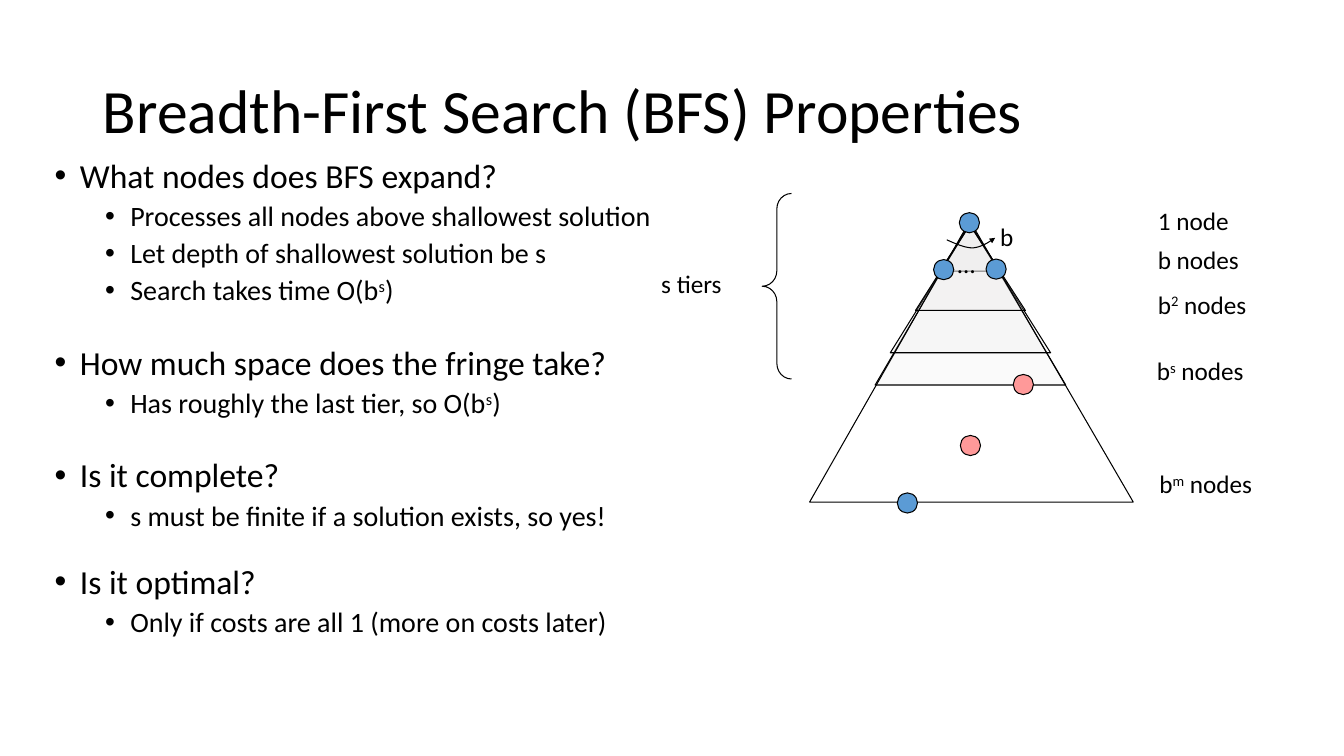
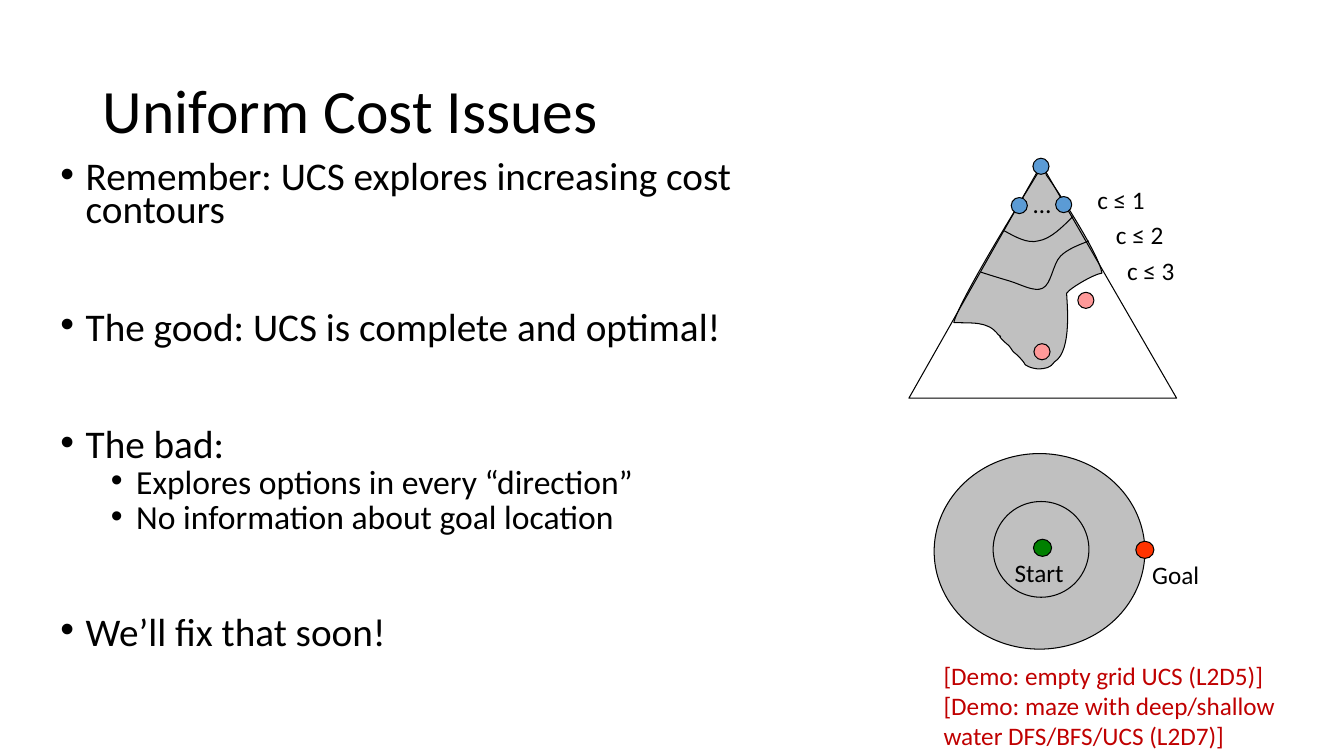
from dataclasses import dataclass

from lxml.etree import SubElement
from pptx import Presentation
from pptx.dml.color import RGBColor
from pptx.enum.shapes import MSO_SHAPE
from pptx.enum.text import MSO_ANCHOR, MSO_AUTO_SIZE, PP_ALIGN
from pptx.oxml.ns import qn
from pptx.util import Inches, Pt

# Every length counts cells of a grid, 0.1 inch square
CELL = Inches(0.1)

Point = tuple[float, float]


@dataclass(frozen=True)
class Theme:
    font: str = "Calibri"
    ink: str = "000000"
    blue: str = "5B9BD5"
    pink: str = "FF9999"
    green: str = "008000"
    red: str = "FF3300"
    gray: str = "C0C0C0"
    pale: str = "E7E6E6"
    demo: str = "C00000"
    title: int = 44
    label: int = 18
    line: float = 0.75


THEME = Theme()


@dataclass(frozen=True)
class Item:
    text: str
    level: int = 0
    gap: float = 10  # points above


@dataclass(frozen=True)
class Oval:
    x: float  # centre
    y: float
    wide: float
    high: float
    fill: str | None = None


@dataclass(frozen=True)
class Label:
    x: float
    y: float
    wide: float
    text: str
    high: float = 4
    color: str = THEME.ink


@dataclass(frozen=True)
class Cone:
    left: float
    right: float
    tip: Point
    base: float


@dataclass(frozen=True)
class Body:
    box: tuple[float, float, float, float]
    sizes: tuple[int, int]  # one for each level
    pitch: float
    items: list[Item]


def cells(*counts: float) -> list[int]:
    return [round(count * CELL) for count in counts]


def apply(target, values: dict) -> None:
    for name, value in values.items():
        setattr(target, name, value)


# Text
def write(para, text: str, size: int, color: str = THEME.ink) -> None:
    """Add text; the parts between ^ marks are raised."""
    for index, part in enumerate(text.split("^")):
        run = para.add_run()
        run.text = part
        apply(run.font, {"name": THEME.font, "size": Pt(size)})
        run.font.color.rgb = RGBColor.from_string(color)
        if index % 2:
            run._r.get_or_add_rPr().set("baseline", "30000")


def place(shape, box: tuple[float, float, float, float]) -> None:
    apply(shape, dict(zip(("left", "top", "width", "height"), cells(*box))))


def add_label(slide, label: Label) -> None:
    box = slide.shapes.add_textbox(*cells(label.x, label.y, label.wide, label.high))
    frame = box.text_frame
    frame.word_wrap = True
    for index, text in enumerate(label.text.split("\n")):
        para = frame.add_paragraph() if index else frame.paragraphs[0]
        write(para, text, THEME.label, label.color)


def add_bullet(para, level: int) -> None:
    props = para._p.get_or_add_pPr()
    props.set("marL", str(Inches(0.25 + 0.5 * level)))
    props.set("indent", str(Inches(-0.25)))
    SubElement(props, qn("a:buFont")).set("typeface", "Arial")
    SubElement(props, qn("a:buChar")).set("char", "•")


def add_page(deck, title: str, body: Body):
    slide = deck.slides.add_slide(deck.slide_layouts[1])
    head, text = slide.placeholders
    place(head, (9.2, 4, 115, 14.5))
    frame = head.text_frame
    apply(frame, {"vertical_anchor": MSO_ANCHOR.MIDDLE, "auto_size": MSO_AUTO_SIZE.NONE})
    apply(frame.paragraphs[0], {"alignment": PP_ALIGN.LEFT, "line_spacing": 0.9})
    write(frame.paragraphs[0], title, THEME.title)

    place(text, body.box)
    frame = text.text_frame
    frame.auto_size = MSO_AUTO_SIZE.NONE
    for index, item in enumerate(body.items):
        para = frame.add_paragraph() if index else frame.paragraphs[0]
        apply(para, {"level": item.level, "line_spacing": body.pitch,
                     "space_before": Pt(item.gap)})
        add_bullet(para, item.level)
        write(para, item.text, body.sizes[item.level])
    return slide


# Shapes
def paint(shape, fill: str | None = None, alpha: int = 100) -> None:
    shape.shadow.inherit = False
    shape.line.width = Pt(THEME.line)
    shape.line.color.rgb = RGBColor.from_string(THEME.ink)
    if fill is None:
        shape.fill.background()
        return
    shape.fill.solid()
    shape.fill.fore_color.rgb = RGBColor.from_string(fill)
    if alpha < 100:
        color = shape.element.spPr.find(f"{qn('a:solidFill')}/{qn('a:srgbClr')}")
        SubElement(color, qn("a:alpha")).set("val", str(alpha * 1000))


def add_oval(slide, oval: Oval) -> None:
    box = cells(oval.x - oval.wide / 2, oval.y - oval.high / 2, oval.wide, oval.high)
    paint(slide.shapes.add_shape(MSO_SHAPE.OVAL, *box), oval.fill)


def add_dots(slide, size: float, color: str, spots: list[Point]) -> None:
    for x, y in spots:
        add_oval(slide, Oval(x, y, size, size, color))


def add_path(slide, points: list[Point], close: bool = False):
    first, *rest = [cells(*point) for point in points]
    pen = slide.shapes.build_freeform(*first)
    pen.add_line_segments(rest, close=close)
    return pen.convert_to_shape()


def add_cone(slide, cone: Cone, fill: str | None = None, alpha: int = 100) -> None:
    points = [cone.tip, (cone.left, cone.base), (cone.right, cone.base)]
    paint(add_path(slide, points, close=True), fill, alpha)


def add_curve(slide, knots: list[Point], fill: str | None = None):
    """Draw a start and triples of Bézier knots; a filled curve is closed."""
    shape = add_path(slide, knots, close=fill is not None)
    trace = next(shape.element.iter(qn("a:path")))
    lines = trace.findall(qn("a:lnTo"))
    for index in range(0, len(lines), 3):
        arc = SubElement(trace, qn("a:cubicBezTo"))
        lines[index].addprevious(arc)
        for line in lines[index:index + 3]:
            arc.append(line[0])
            trace.remove(line)
    paint(shape, fill)
    return shape


# Slide 1
def draw_breadth(deck) -> None:
    slide = add_page(deck, "Breadth-First Search (BFS) Properties", Body(
        (4.42, 15.28, 62.2, 51.7), (24, 20), 0.9, [
            Item("What nodes does BFS expand?"),
            Item("Processes all nodes above shallowest solution", 1, 5),
            Item("Let depth of shallowest solution be s", 1, 5),
            Item("Search takes time O(b^s^)", 1, 5),
            Item("How much space does the fringe take?", gap=28),
            Item("Has roughly the last tier, so O(b^s^)", 1, 5),
            Item("Is it complete?", gap=27.8),
            Item("s must be finite if a solution exists, so yes!", 1, 5),
            Item("Is it optimal?", gap=23.6),
            Item("Only if costs are all 1 (more on costs later)", 1, 5),
        ]))
    # Tiers, then the whole tree
    for left, right, top, base in ((93.2, 99.2, 22.3, 26.9), (86.8, 105.7, 22.1, 38.2),
                                   (88.3, 104.2, 22.3, 35), (90.8, 101.7, 22.3, 30.8)):
        add_cone(slide, Cone(left, right, (96.2, top), base), THEME.pale, 20)
    add_cone(slide, Cone(80.3, 112.4, (96.2, 21.9), 49.8))
    add_dots(slide, 2, THEME.blue, [(96.15, 22.1), (93.6, 26.75), (98.8, 26.7), (90, 49.9)])
    add_dots(slide, 2, THEME.pink, [(101.5, 38.15), (96.25, 44.2)])
    # Branching arrow
    arrow = add_curve(slide, [(93.9, 23.8), (94.8, 24.2), (95.7, 24.6), (96.5, 24.6),
                              (97.3, 24.5), (98, 24.1), (98.7, 23.6)])
    tail = SubElement(arrow.element.spPr.find(qn("a:ln")), qn("a:tailEnd"))
    for name, value in {"type": "triangle", "w": "sm", "len": "sm"}.items():
        tail.set(name, value)
    # Brace over the tiers
    brace = slide.shapes.add_shape(MSO_SHAPE.LEFT_BRACE, *cells(75.6, 19.2, 2.9, 18.4))
    brace.adjustments[0] = 0.53
    paint(brace)
    for label in (Label(94, 24.1, 3, "…"), Label(98.2, 21.45, 3.3, "b"),
                  Label(64.6, 26.15, 13.8, "s tiers"),
                  Label(113.85, 19.85, 12.2, "1 node"),
                  Label(113.85, 23.7, 12.2, "b nodes"),
                  Label(113.85, 28.2, 12.2, "b^2^ nodes"),
                  Label(113.75, 34.8, 16, "b^s^ nodes"),
                  Label(114, 46, 16, "b^m^ nodes")):
        add_label(slide, label)


# Slide 2
def draw_issues(deck) -> None:
    slide = add_page(deck, "Uniform Cost Issues", Body(
        (5, 15.83, 70.8, 49.5), (28, 24), 0.7, [
            Item("Remember: UCS explores increasing cost contours"),
            Item("The good: UCS is complete and optimal!", gap=60.3),
            Item("The bad:", gap=60.3),
            Item("Explores options in every “direction”", 1, 5),
            Item("No information about goal location", 1, 5),
            Item("We’ll fix that soon!", gap=60.3),
        ]))
    # Searched part of the tree
    add_curve(slide, [
        (103.8, 17.4), (104.9, 18.9), (109, 25.2), (109.3, 27.1),
        (108.5, 27.2), (106.1, 28.6), (105.8, 29.1),
        (105.8, 29.8), (106.4, 34.8), (104.6, 35.9),
        (104.2, 36.5), (103.7, 36.6), (102.9, 36.6),
        (102.3, 36.5), (102.2, 36.5), (101.7, 36.2),
        (101.5, 35.8), (100.9, 35.2), (100.5, 34.9),
        (100, 34.2), (100.3, 34.5), (99.6, 33.9),
        (98.6, 32.9), (99.7, 33.7), (99, 33.2),
        (98, 31.8), (96.3, 32.1), (94.6, 32),
        (95.3, 29.5), (101.3, 19.9), (102.8, 17.4),
        (104.3, 15), (103.6, 17.4), (103.8, 17.4)], THEME.gray)
    add_cone(slide, Cone(90.15, 116.7, (103.3, 16.3), 39.5))
    # Cost contours
    for knots in ([(108, 23.9), (107, 24.3), (105.9, 24.7), (105.2, 25.4),
                   (104.4, 26.2), (104.3, 28.2), (103.4, 28.6),
                   (102.6, 29), (101.2, 28.2), (100.2, 27.9),
                   (99.2, 27.6), (98.2, 27.3), (97.3, 27)],
                  [(106.4, 21.5), (105.3, 22.6), (104.2, 23.7), (103, 23.9),
                   (101.9, 24.2), (100.7, 23.5), (99.6, 22.9)]):
        add_curve(slide, knots)
    add_dots(slide, 1.6, THEME.blue, [(101.1, 20.4), (105.5, 20.3), (103.25, 16.5)])
    add_dots(slide, 1.6, THEME.pink, [(107.7, 29.8), (103.35, 34.9)])
    # Rings round the start
    for oval in (Oval(103.1, 54.7, 20.9, 19.4, THEME.gray),
                 Oval(103.25, 54.5, 9.5, 9.5),
                 Oval(103.4, 54.35, 1.8, 1.7, THEME.green),
                 Oval(113.55, 54.55, 1.8, 1.7, THEME.red)):
        add_oval(slide, oval)
    for label in (Label(101.5, 18.2, 2.5, "…"),
                  Label(107.85, 17.8, 7.5, "c ≤ 1"),
                  Label(109.7, 21.25, 7.5, "c ≤ 2"),
                  Label(110.8, 24.8, 7.5, "c ≤ 3"),
                  Label(99.65, 54.8, 10, "Start"), Label(113.3, 55, 10, "Goal"),
                  Label(92.6, 65, 40.7, "[Demo: empty grid UCS (L2D5)]\n"
                        "[Demo: maze with deep/shallow water DFS/BFS/UCS (L2D7)]",
                        10, THEME.demo)):
        add_label(slide, label)


def main() -> None:
    deck = Presentation()
    apply(deck, {"slide_width": Inches(13.33), "slide_height": Inches(7.5)})
    draw_breadth(deck)
    draw_issues(deck)
    deck.save("out.pptx")


if __name__ == "__main__":
    main()
